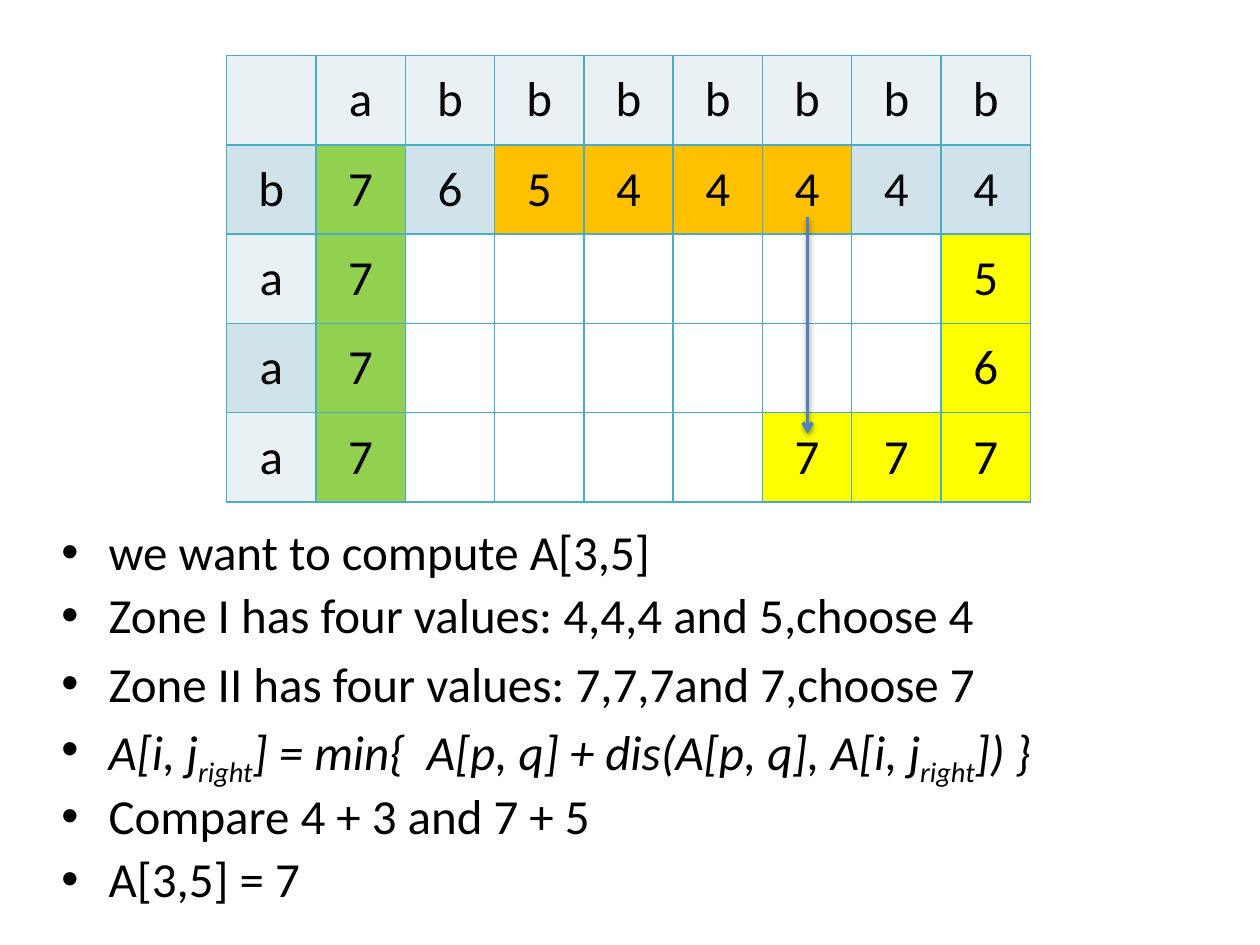
from lxml.etree import SubElement
from pptx import Presentation
from pptx.dml.color import RGBColor
from pptx.enum.shapes import MSO_CONNECTOR
from pptx.enum.text import MSO_ANCHOR, PP_ALIGN
from pptx.oxml.ns import qn
from pptx.util import Cm, Pt

FONT = {"name": "Calibri", "size": Pt(28)}
FILLS = {"l": "E9F1F5", "d": "D0E3EA", "g": "92D050", "o": "FFC000", "y": "FFFF00"}
GRID = [
    (" abbbbbbb", "lllllllll"),
    ("b76544444", "dgdoooodd"),
    ("a7      5", "lg      y"),
    ("a7      6", "dg      y"),
    ("a7   777", "lg   yyy"),
]
GRID[4] = ("a7    777", "lg    yyy")
NOTES = [
    (0.9, ["we want to compute A[3,5]"]),
    (0.9, ["Zone I has four values: 4,4,4 and 5,choose 4"]),
    (1.0, ["Zone II has four values: 7,7,7and 7,choose 7"]),
    (0.9, ["A[i, j", "right", "] = min{  A[p, q] + dis(A[p, q], A[i, j", "right", "]) }"]),
    (0.9, ["Compare 4 + 3 and 7 + 5"]),
    (0.9, ["A[3,5] = 7"]),
]


def color(code):
    return RGBColor.from_string(code)


def style(item, values):
    for name, value in values.items():
        setattr(item, name, value)


def add(node, tag, **values):
    return SubElement(node, qn(tag), {key: str(value) for key, value in values.items()})


def write(para, text, **extra):
    run = para.add_run()
    run.text = text
    style(run.font, FONT | extra)
    run.font.color.rgb = color("000000")
    return run


def border(cell):
    props = cell._tc.get_or_add_tcPr()
    for side in ("L", "R", "T", "B"):
        line = add(props, f"a:ln{side}", w=Pt(1))
        add(add(line, "a:solidFill"), "a:srgbClr", val="4BACC6")


def fill_cell(cell, text, key):
    border(cell)
    if key in FILLS:
        cell.fill.solid()
        cell.fill.fore_color.rgb = color(FILLS[key])
    else:
        cell.fill.background()
    cell.vertical_anchor = MSO_ANCHOR.MIDDLE
    if text.strip():
        para = cell.text_frame.paragraphs[0]
        para.alignment = PP_ALIGN.CENTER
        write(para, text)


def add_grid(slide):
    size = Cm(1.8)
    rows, cols = len(GRID), len(GRID[0][0])
    table = slide.shapes.add_table(
        rows, cols, Cm(4.57), Cm(1.12), size * cols, size * rows
    ).table
    style(table, {"first_row": False, "horz_banding": False})
    for row, (texts, keys) in enumerate(GRID):
        for col, (text, key) in enumerate(zip(texts, keys)):
            fill_cell(table.cell(row, col), text, key)


def add_arrow(slide):
    left = Cm(16.28)
    arrow = slide.shapes.add_connector(MSO_CONNECTOR.STRAIGHT, left, Cm(4.37), left, Cm(8.74))
    arrow.line.width = Pt(2)
    arrow.line.color.rgb = color("4F81BD")
    add(arrow.line._get_or_add_ln(), "a:tailEnd", type="arrow")
    effects = add(arrow._element.spPr, "a:effectLst")
    shadow = add(
        effects, "a:outerShdw", blurRad=Pt(3.1), dist=Pt(1.6), dir=5400000, rotWithShape=0
    )
    add(add(shadow, "a:srgbClr", val="000000"), "a:alpha", val=38000)


def add_notes(slide):
    frame = slide.shapes.add_textbox(Cm(0.99), Cm(10.52), Cm(23.62), Cm(7.95)).text_frame
    frame.word_wrap = True
    for index, (pitch, parts) in enumerate(NOTES):
        para = frame.add_paragraph() if index else frame.paragraphs[0]
        props = para._p.get_or_add_pPr()
        props.set("marL", str(Cm(0.95)))
        props.set("indent", str(Cm(-0.95)))
        add(props, "a:buFont", typeface="Arial")
        add(props, "a:buChar", char="•")
        style(para, {"line_spacing": pitch, "space_before": Pt(5.6 if index else 0)})
        style(para.font, FONT)
        for part in parts:
            run = write(para, part, italic=len(parts) > 1)
            if part == "right":
                run.font._element.set("baseline", "-25000")


def main():
    deck = Presentation()
    style(deck, {"slide_width": Cm(25.4), "slide_height": Cm(19.05)})
    slide = deck.slides.add_slide(deck.slide_layouts[6])
    add_grid(slide)
    add_arrow(slide)
    add_notes(slide)
    deck.save("out.pptx")


if __name__ == "__main__":
    main()
